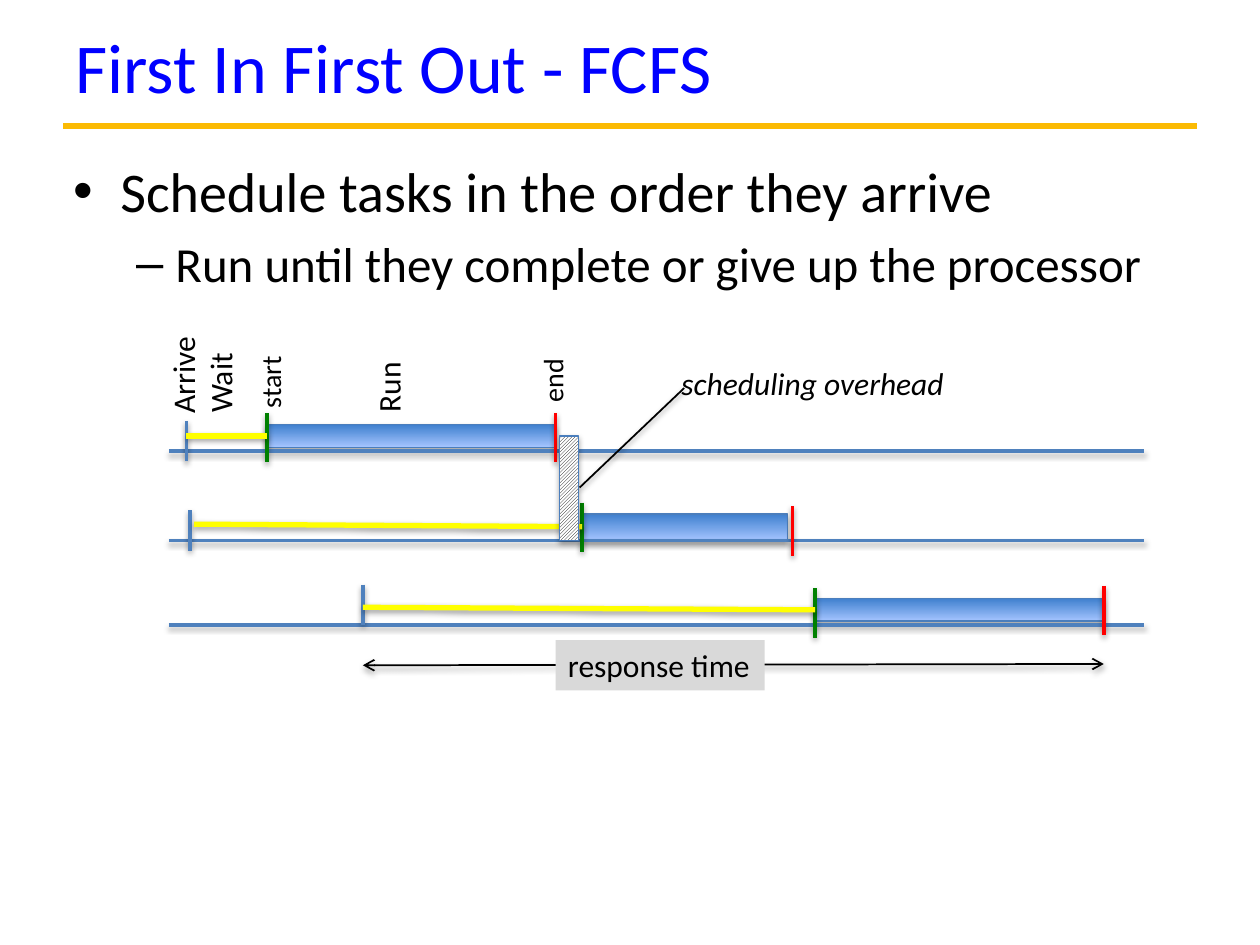
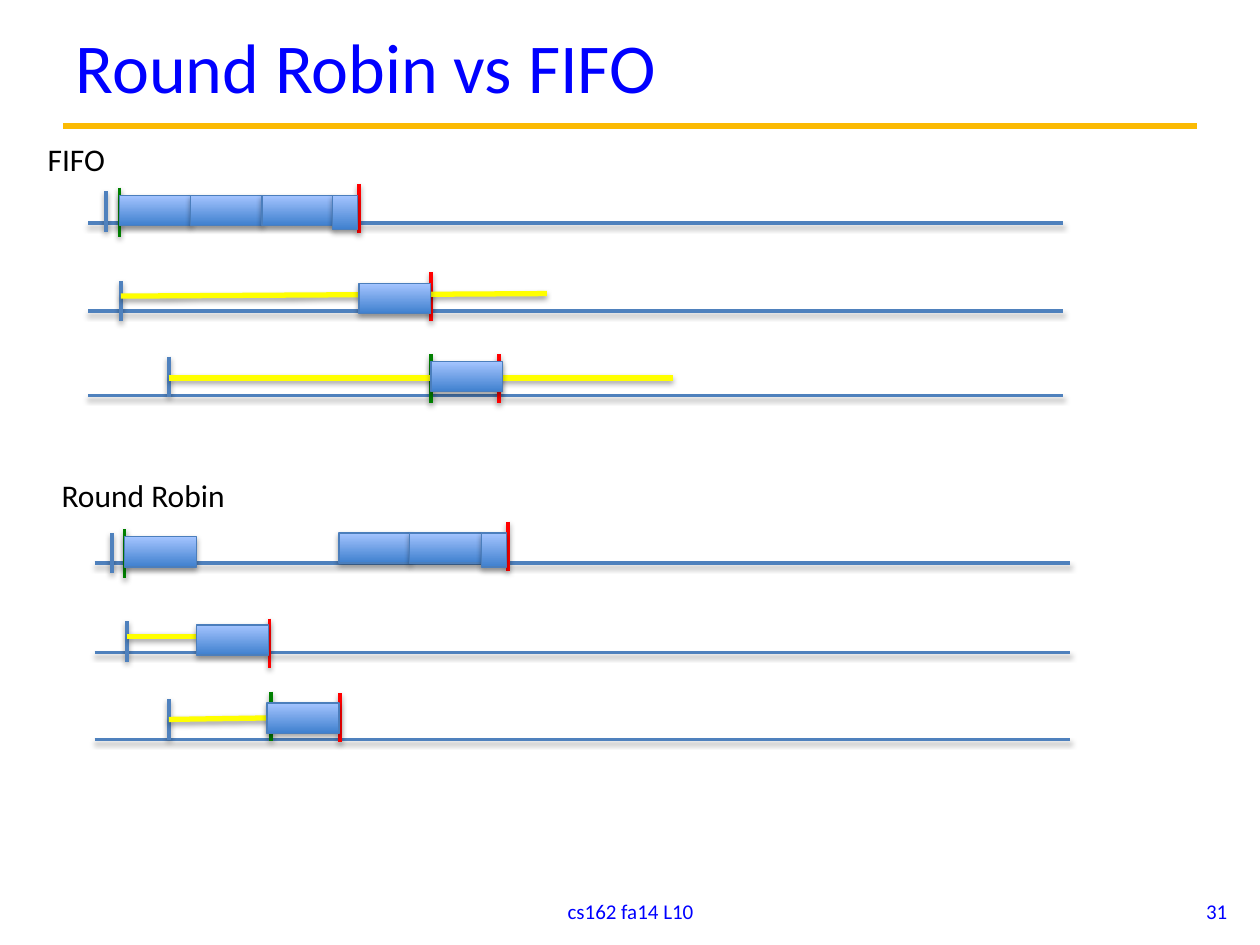
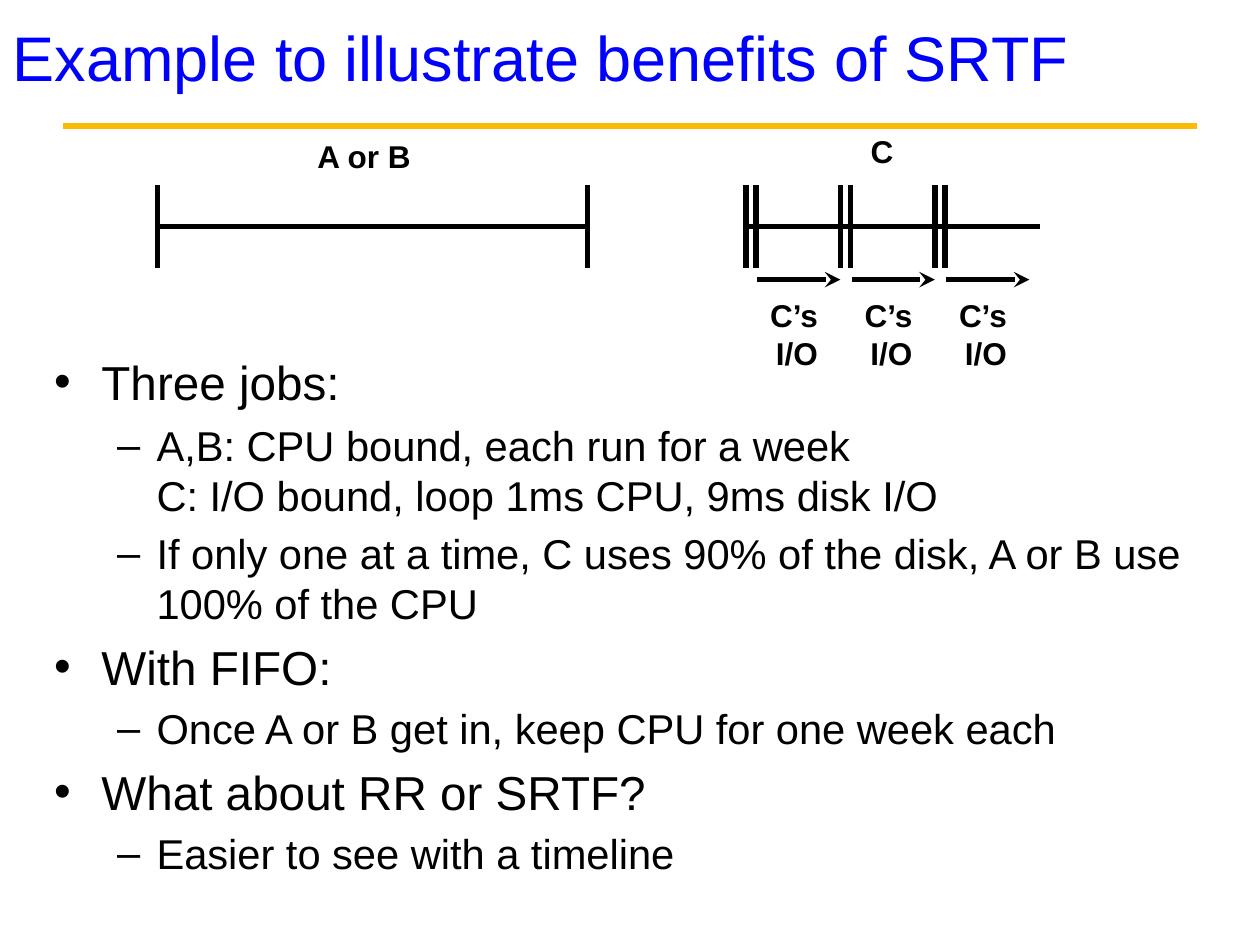
from dataclasses import dataclass

from lxml.etree import SubElement
from pptx import Presentation
from pptx.dml.color import RGBColor
from pptx.enum.dml import MSO_PATTERN
from pptx.enum.shapes import MSO_CONNECTOR, MSO_SHAPE
from pptx.enum.text import MSO_ANCHOR, MSO_AUTO_SIZE, PP_ALIGN
from pptx.oxml.ns import qn
from pptx.util import Pt

PX = 9144
TITLE_AND_BODY, TITLE_ONLY = 1, 5


@dataclass(frozen=True)
class Theme:
    title: str = "0000FF"
    rule: str = "FBBA03"
    text: str = "000000"
    axis: str = "4F81BD"
    start: str = "008000"
    end: str = "FF0000"
    wait: str = "FFFF00"
    bar_dark: str = "3F80CE"
    bar_light: str = "A4C4FF"
    bar_edge: str = "4B7EBC"
    paper: str = "FFFFFF"
    tag: str = "D9D9D9"
    font: str = "Calibri"
    plain_font: str = "Arial"
    title_size: int = 40
    plain_title_size: int = 36
    body_sizes: tuple = (32, 28)
    plain_body_sizes: tuple = (27.2, 23.8)
    label_size: int = 18
    small_size: int = 16
    footer_size: int = 12


def rgb(value):
    return RGBColor.from_string(value)


def px(*lengths):
    return [length * PX for length in lengths]


class Deck:
    def __init__(self, theme):
        self.theme = theme
        self.presentation = Presentation()
        self.presentation.slide_width, self.presentation.slide_height = px(1000, 750)
        self.slide = None

    def add_slide(self, layout, title, box=(50, 4, 900, 96), size=None, font=None):
        self.slide = self.presentation.slides.add_slide(self.presentation.slide_layouts[layout])
        self.line(50, 100, 950, 100, self.theme.rule, 3.75)
        shape = self.slide.shapes.title
        self.place(shape, box)
        paragraph = shape.text_frame.paragraphs[0]
        paragraph.alignment = PP_ALIGN.LEFT
        self.run(paragraph, title, size or self.theme.title_size, font, self.theme.title)

    def place(self, shape, box):
        shape.left, shape.top, shape.width, shape.height = px(*box)
        shape.text_frame.auto_size = MSO_AUTO_SIZE.NONE

    def run(self, paragraph, text, size, font=None, color=None, bold=False, italic=False):
        run = paragraph.add_run()
        run.text = text
        run.font.size = Pt(size)
        run.font.name = font or self.theme.font
        run.font.color.rgb = rgb(color or self.theme.text)
        run.font.bold = bold
        run.font.italic = italic

    def bullets(self, box, items, sizes, font=None):
        body = self.slide.placeholders[1]
        self.place(body, box)
        frame = body.text_frame
        for index, (level, text) in enumerate(items):
            paragraph = frame.add_paragraph() if index else frame.paragraphs[0]
            paragraph.level = level
            for number, part in enumerate(text.split("\n")):
                if number:
                    paragraph.add_line_break()
                self.run(paragraph, part, sizes[level], font)

    def label(self, box, text, size=None, font=None, align=PP_ALIGN.LEFT, rotation=0,
              fill=None, bold=False, italic=False):
        shape = self.slide.shapes.add_textbox(*px(*box))
        shape.rotation = rotation
        if fill:
            shape.fill.solid()
            shape.fill.fore_color.rgb = rgb(fill)
        frame = shape.text_frame
        frame.word_wrap = False
        frame.auto_size = MSO_AUTO_SIZE.SHAPE_TO_FIT_TEXT
        for index, part in enumerate(text.split("\n")):
            paragraph = frame.add_paragraph() if index else frame.paragraphs[0]
            paragraph.alignment = align
            self.run(paragraph, part, size or self.theme.label_size, font, bold=bold, italic=italic)

    def footer(self, box, text, align):
        shape = self.slide.shapes.add_textbox(*px(*box))
        frame = shape.text_frame
        frame.word_wrap = True
        frame.vertical_anchor = MSO_ANCHOR.MIDDLE
        frame.paragraphs[0].alignment = align
        self.run(frame.paragraphs[0], text, self.theme.footer_size, color=self.theme.title)

    def cast_shadow(self, effects, distance, opacity):
        shadow = SubElement(effects, qn("a:outerShdw"), blurRad="40000", dist=str(distance),
                            dir="5400000", rotWithShape="0")
        color = SubElement(shadow, qn("a:srgbClr"), val="000000")
        SubElement(color, qn("a:alpha"), val=str(opacity * 1000))

    def line(self, x1, y1, x2, y2, color=None, width=2.0, shadow=False, head=None, tail=None):
        connector = self.slide.shapes.add_connector(MSO_CONNECTOR.STRAIGHT, *px(x1, y1, x2, y2))
        connector.line.color.rgb = rgb(color or self.theme.text)
        connector.line.width = Pt(width)
        properties = connector._element.spPr
        outline = properties.find(qn("a:ln"))
        for name, kind in (("a:headEnd", head), ("a:tailEnd", tail)):
            if kind:
                SubElement(outline, qn(name), type=kind)
        effects = SubElement(properties, qn("a:effectLst"))
        if shadow:
            self.cast_shadow(effects, 20000, 38)

    def box(self, box):
        shape = self.slide.shapes.add_shape(MSO_SHAPE.RECTANGLE, *px(*box))
        shape.line.color.rgb = rgb(self.theme.bar_edge)
        shape.line.width = Pt(0.75)
        shape.shadow.inherit = False
        self.cast_shadow(shape._element.spPr.find(qn("a:effectLst")), 23000, 35)
        return shape

    def bar(self, box, dark_top=False):
        fill = self.box(box).fill
        fill.gradient()
        fill.gradient_angle = 270 if dark_top else 90
        for stop, color in zip(fill.gradient_stops, (self.theme.bar_dark, self.theme.bar_light)):
            stop.color.rgb = rgb(color)

    def hatched(self, box):
        fill = self.box(box).fill
        fill.patterned()
        fill.pattern = MSO_PATTERN.LIGHT_UPWARD_DIAGONAL
        fill.fore_color.rgb = rgb(self.theme.text)
        fill.back_color.rgb = rgb(self.theme.paper)

    def lane(self, left, axis, arrive, end, start=None, wait=None):
        self.line(left, axis, left + 774, axis, self.theme.axis, shadow=True)
        marks = ((arrive, 32, self.theme.axis), (end, 39, self.theme.end),
                 (start, 39, self.theme.start))
        for mark, height, color in marks:
            if mark:
                x, top = mark
                self.line(x, top, x, top + height, color, shadow=True)
        if wait:
            self.line(*wait, self.theme.wait, 3, shadow=True)


def first_come_slide(deck):
    theme = deck.theme
    deck.add_slide(TITLE_AND_BODY, "First In First Out - FCFS")
    deck.bullets((48, 119, 900, 157), [
        (0, "Schedule tasks in the order they arrive"),
        (1, "Run until they complete or give up the processor"),
    ], theme.body_sizes)
    for bar in ((212, 337, 229, 18), (462, 408, 163, 21), (647, 475, 229, 18)):
        deck.bar(bar, dark_top=True)
    deck.lane(134, 358, (148, 334), (441, 328), (212, 328), (148, 346, 212, 346))
    deck.lane(134, 429, (151, 405), (629, 402), (462, 399), (154, 416, 462, 418))
    deck.lane(134, 496, (288, 464), (876, 465), (647, 467), (288, 482, 647, 484))
    for box, text, size in (
        ((104, 277, 82, 40), "Arrive", theme.label_size),
        ((140, 283, 69, 40), "Wait", theme.label_size),
        ((278, 287, 60, 40), "Run", theme.label_size),
        ((183, 284, 63, 37), "start", theme.small_size),
        ((411, 283, 55, 37), "end", theme.small_size),
    ):
        deck.label(box, text, size, rotation=270)
    deck.hatched((444, 346, 15, 83))
    deck.label((531, 284, 237, 40), "scheduling overhead", italic=True)
    deck.line(460, 387, 543, 308, width=1, shadow=True)
    deck.line(288, 528, 876, 527, width=1, shadow=True, head="arrow", tail="arrow")
    deck.label((441, 508, 166, 40), "response time", fill=theme.tag)


def round_robin_slide(deck):
    quantum, remainder = (57, 24), (20, 27)
    deck.add_slide(TITLE_ONLY, "Round Robin vs FIFO")
    deck.footer((342, 703, 317, 40), "cs162 fa14 L10", PP_ALIGN.CENTER)
    deck.footer((751, 703, 233, 40), "31", PP_ALIGN.RIGHT)

    deck.lane(70, 177, (84, 152), (285, 146), (95, 149))
    deck.lane(70, 247, (96, 223), (342, 216), wait=(96, 235, 434, 233))
    deck.lane(70, 314, (134, 283), (396, 281), (342, 281), (134, 300, 534, 300))
    deck.lane(75, 447, (89, 423), (403, 414), (99, 420))
    deck.lane(75, 518, (101, 493), (214, 491), wait=(101, 505, 195, 505))
    deck.lane(75, 587, (134, 555), (270, 550), (215, 549), (134, 571, 266, 569))

    fifo_turns = [(95, 155), (151, 155), (208, 155), (285, 225), (342, 287)]
    robin_turns = [(99, 426), (269, 423), (325, 423), (156, 496), (212, 558)]
    for turn in fifo_turns + robin_turns:
        deck.bar(turn + quantum)
    for turn in ((264, 155), (382, 423)):
        deck.bar(turn + remainder)

    deck.label((28, 106, 66, 40), "FIFO")
    deck.label((39, 373, 152, 40), "Round Robin")


def shortest_remaining_slide(deck):
    theme = deck.theme
    font = theme.plain_font
    deck.add_slide(TITLE_AND_BODY, "Example to illustrate benefits of SRTF",
                   (0, 16, 1000, 58), theme.plain_title_size, font)
    deck.bullets((33, 275, 942, 383), [
        (0, "Three jobs:"),
        (1, "A,B: CPU bound, each run for a week\nC: I/O bound, loop 1ms CPU, 9ms disk I/O"),
        (1, "If only one at a time, C uses 90% of the disk, A or B use 100% of the CPU"),
        (0, "With FIFO:"),
        (1, "Once A or B get in, keep CPU for one week each"),
        (0, "What about RR or SRTF?"),
        (1, "Easier to see with a timeline"),
    ], theme.plain_body_sizes, font)

    deck.line(125, 180, 467, 180, width=3)
    deck.line(592, 180, 825, 180, width=3)
    bursts = [592 + 75 * cycle for cycle in range(3)]
    for x in [125, 466] + bursts + [burst + 8 for burst in bursts]:
        deck.line(x, 147, x, 213, width=3)
    for burst in bursts:
        deck.line(burst + 9, 222, burst + 75, 222, width=3, tail="stealth")
        deck.label((burst + 6, 230, 61, 66), "C’s\nI/O", font=font, align=PP_ALIGN.RIGHT, bold=True)
    deck.label((242, 104, 95, 35), "A or B", font=font, bold=True)
    deck.label((681, 100, 38, 35), "C", font=font, align=PP_ALIGN.RIGHT, bold=True)


def main():
    deck = Deck(Theme())
    first_come_slide(deck)
    round_robin_slide(deck)
    shortest_remaining_slide(deck)
    deck.presentation.save("out.pptx")


if __name__ == "__main__":
    main()
